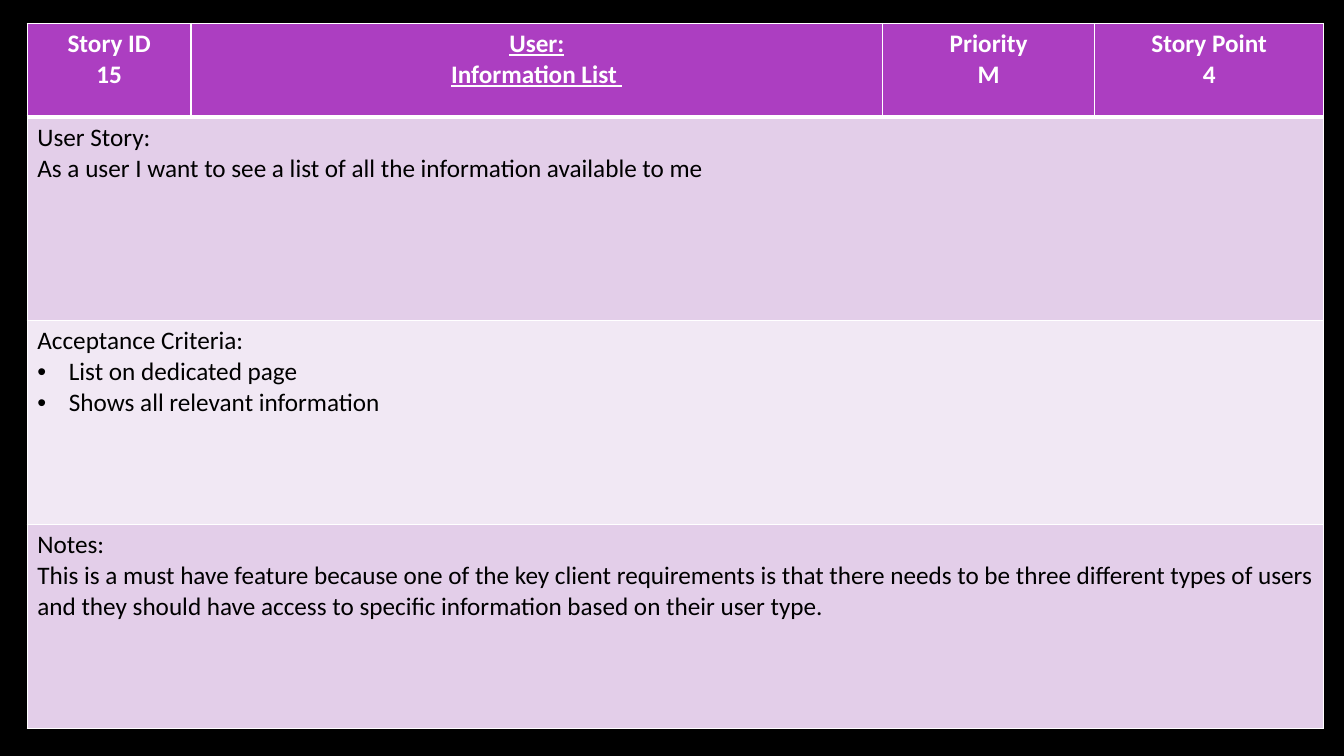
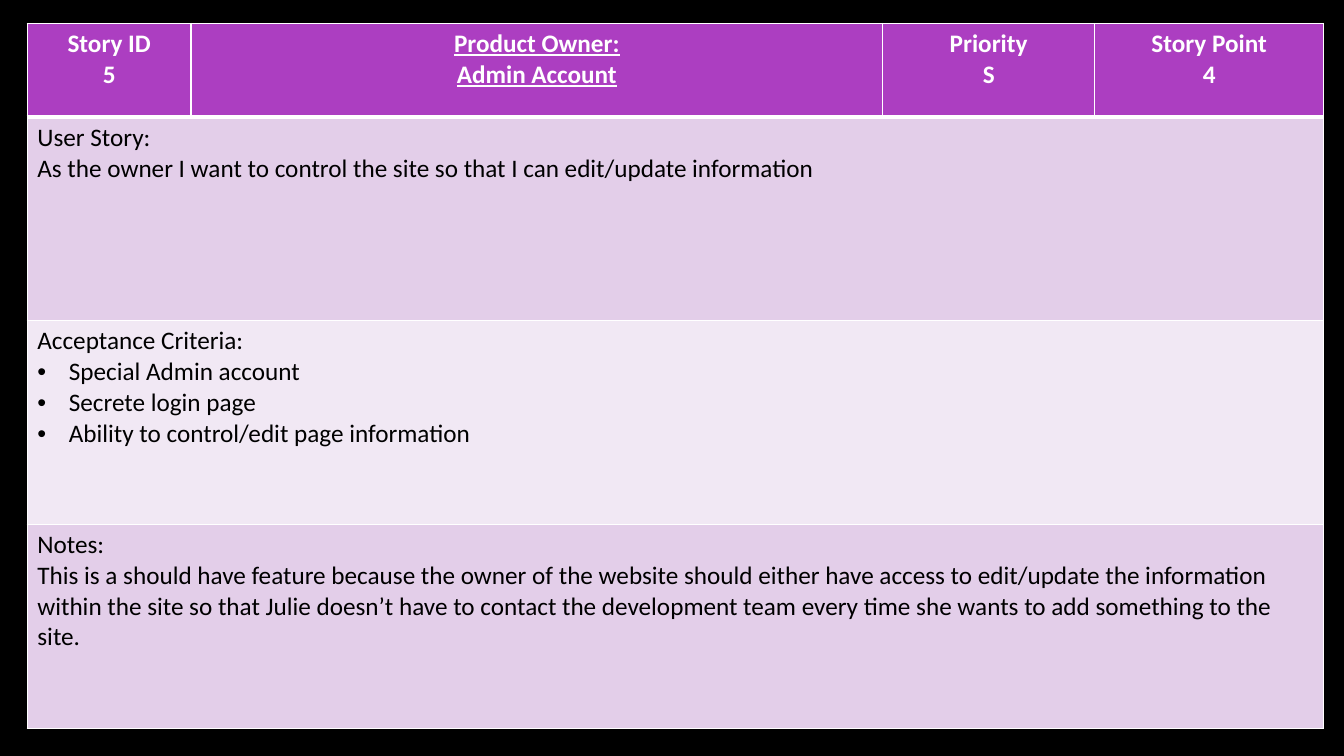
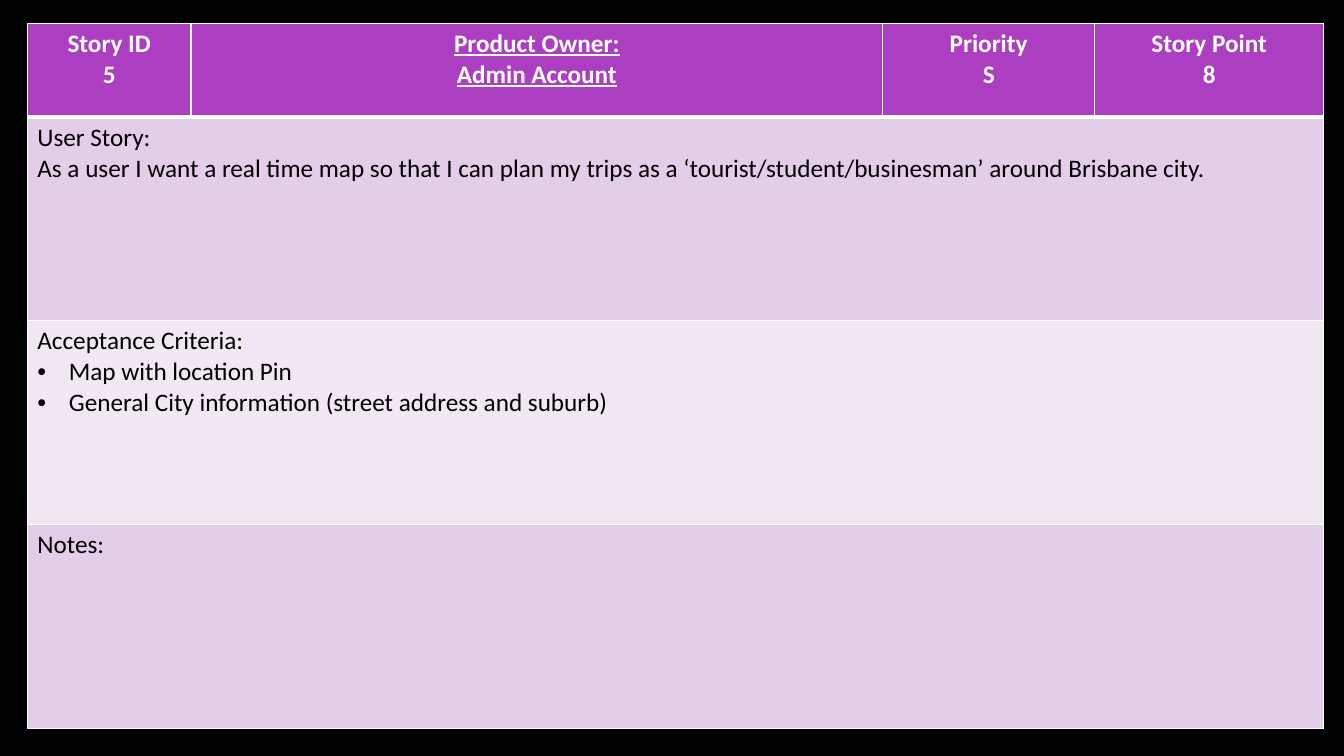
from dataclasses import dataclass

from lxml.etree import SubElement
from pptx import Presentation
from pptx.dml.color import RGBColor
from pptx.enum.text import PP_ALIGN as Align
from pptx.oxml.ns import qn
from pptx.util import Pt

BLACK = RGBColor(0x00, 0x00, 0x00)
WHITE = RGBColor(0xFF, 0xFF, 0xFF)
PURPLE = RGBColor(0xAC, 0x3E, 0xC1)
LILAC = RGBColor(0xE3, 0xCE, 0xE9)
PALE_LILAC = RGBColor(0xF1, 0xE8, 0xF4)

FONT = "Calibri"
TEXT_SIZE = Pt(18)
BULLET_INDENT = Pt(22.5)
THIN, THICK = Pt(1), Pt(3)

SLIDE_WIDTH, SLIDE_HEIGHT = Pt(960), Pt(540)
TABLE_LEFT, TABLE_TOP = Pt(19.5), Pt(16.75)
COLUMN_WIDTHS = [Pt(117), Pt(494), Pt(151.5), Pt(163.5)]
ROW_HEIGHTS = [Pt(67)] + [Pt(145.5)] * 3


@dataclass
class Story:
    number: str
    role: str
    title: str
    priority: str
    points: str
    story: str
    criteria: list
    notes: str = ""


STORIES = [
    Story("15", "User:", "Information List ", "M", "4",
          "As a user I want to see a list of all the information available to me",
          ["List on dedicated page", "Shows all relevant information"],
          "This is a must have feature because one of the key client requirements is that "
          "there needs to be three different types of users and they should have access to "
          "specific information based on their user type."),
    Story("5", "Product Owner:", "Admin Account", "S", "4",
          "As the owner I want to control the site so that I can edit/update information",
          ["Special Admin account", "Secrete login page",
           "Ability to control/edit page information"],
          "This is a should have feature because the owner of the website should either have "
          "access to edit/update the information within the site so that Julie doesn’t have "
          "to contact the development team every time she wants to add something to the site."),
    Story("5", "Product Owner:", "Admin Account", "S", "8",
          "As a user I want a real time map so that I can plan my trips as a "
          "‘tourist/student/businesman’ around Brisbane city.",
          ["Map with location Pin", "General City information (street address and suburb)"]),
]


def add_bullet(paragraph):
    properties = paragraph._p.get_or_add_pPr()
    properties.set("marL", str(BULLET_INDENT))
    properties.set("indent", str(-BULLET_INDENT))
    SubElement(properties, qn("a:buFont"), typeface="Arial")
    SubElement(properties, qn("a:buChar"), char="•")


def write_line(paragraph, text, color=BLACK, bold=False, underline=False,
               align=Align.LEFT, bullet=False):
    paragraph.alignment = align
    if bullet:
        add_bullet(paragraph)
    run = paragraph.add_run()
    run.text = text
    font = run.font
    font.name, font.size = FONT, TEXT_SIZE
    font.bold, font.underline = bold, underline
    font.color.rgb = color


def write_cell(cell, lines, bulleted=False, **text_format):
    """Write one paragraph per line; bulleted marks every line after the first."""
    frame = cell.text_frame
    for index, line in enumerate(lines):
        paragraph = frame.add_paragraph() if index else frame.paragraphs[0]
        write_line(paragraph, line, bullet=bulleted and index > 0, **text_format)


def style_cell(cell, fill, top=THIN, bottom=THIN):
    properties = cell._tc.get_or_add_tcPr()
    for side, width in (("L", THIN), ("R", THIN), ("T", top), ("B", bottom)):
        line = SubElement(properties, qn(f"a:ln{side}"), w=str(width))
        SubElement(SubElement(line, qn("a:solidFill")), qn("a:srgbClr"), val=str(WHITE))
    cell.fill.solid()
    cell.fill.fore_color.rgb = fill


def add_story_table(slide):
    """Add the empty card: a header of four cells above three full-width rows."""
    table = slide.shapes.add_table(
        len(ROW_HEIGHTS), len(COLUMN_WIDTHS), TABLE_LEFT, TABLE_TOP,
        sum(COLUMN_WIDTHS), sum(ROW_HEIGHTS)).table
    table.horz_banding = False
    for column, width in zip(table.columns, COLUMN_WIDTHS):
        column.width = width
    row_fills = [PURPLE, LILAC, PALE_LILAC, LILAC]
    for index, (row, height) in enumerate(zip(table.rows, ROW_HEIGHTS)):
        row.height = height
        for cell in row.cells:
            style_cell(cell, row_fills[index],
                       top=THICK if index == 1 else THIN,
                       bottom=THICK if index == 0 else THIN)
        if index:
            table.cell(index, 0).merge(table.cell(index, len(COLUMN_WIDTHS) - 1))
    return table


def add_story_slide(presentation, story):
    slide = presentation.slides.add_slide(presentation.slide_layouts[6])
    background = slide.background.fill
    background.solid()
    background.fore_color.rgb = BLACK

    table = add_story_table(slide)
    headers = [("Story ID", story.number), (story.role, story.title),
               ("Priority", story.priority), ("Story Point", story.points)]
    for column, lines in enumerate(headers):
        write_cell(table.cell(0, column), lines, color=WHITE, bold=True,
                   underline=column == 1, align=Align.CENTER)

    write_cell(table.cell(1, 0), ["User Story:", story.story])
    write_cell(table.cell(2, 0), ["Acceptance Criteria:", *story.criteria], bulleted=True)
    write_cell(table.cell(3, 0), ["Notes:"] + ([story.notes] if story.notes else []))


def main():
    presentation = Presentation()
    presentation.slide_width, presentation.slide_height = SLIDE_WIDTH, SLIDE_HEIGHT
    for story in STORIES:
        add_story_slide(presentation, story)
    presentation.save("out.pptx")


if __name__ == "__main__":
    main()
